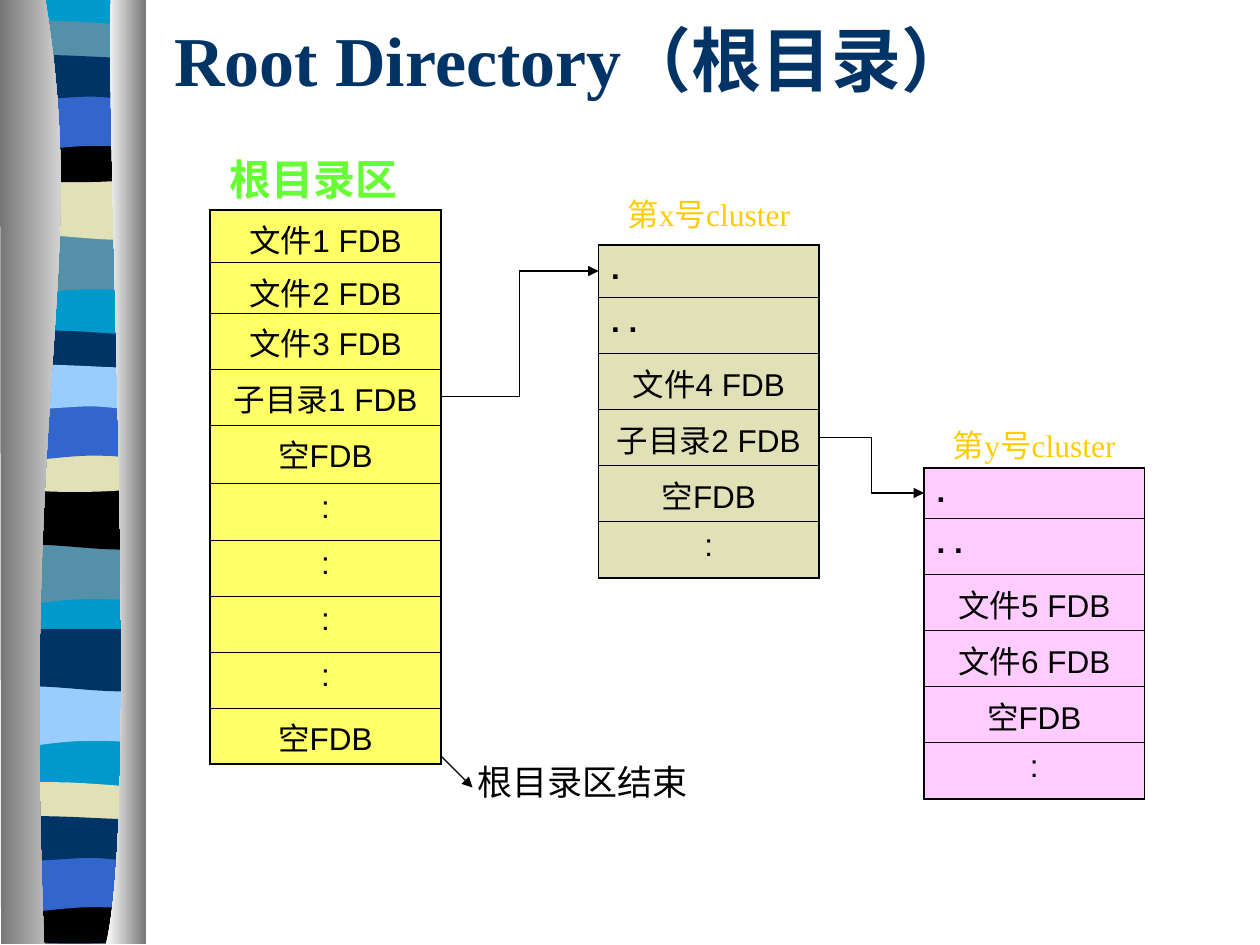
from lxml import etree
from pptx import Presentation
from pptx.dml.color import RGBColor
from pptx.enum.shapes import MSO_CONNECTOR
from pptx.enum.text import MSO_ANCHOR, MSO_AUTO_SIZE, PP_ALIGN
from pptx.oxml.ns import qn
from pptx.util import Emu, Inches, Pt

LEFT, CENTER = PP_ALIGN.LEFT, PP_ALIGN.CENTER
MIDDLE = MSO_ANCHOR.MIDDLE
NO_FIT, GROW = MSO_AUTO_SIZE.NONE, MSO_AUTO_SIZE.SHAPE_TO_FIT_TEXT
STRAIGHT, ELBOW = MSO_CONNECTOR.STRAIGHT, MSO_CONNECTOR.ELBOW
COLS = 120
SERIF, SANS = "Times New Roman", "Arial"
BLACK, NAVY, SAND, TEAL = "000000", "003366", "E1E1B7", "5490A8"
SKY, BLUE, CYAN, GOLD = "99CCFF", "3366CC", "0099CC", "FFCC00"
FLAT = [(0, 0), (13, 0)]


def rgb(value):
    """Return the colour of a hex string."""
    return RGBColor.from_string(value)


def bend(lines):
    """Merge three line steps of an outline into one Bezier step."""
    first, *others = lines
    first.tag = qn("a:cubicBezTo")
    for line in others:
        first.append(line[0])
        line.getparent().remove(line)


class Deck:
    """Holds the style and the current slide, measured on a 120 by 90 grid."""

    def __init__(self):
        """Start a deck with one title-only slide."""
        self.prs = Presentation()
        self.prs.slide_width, self.prs.slide_height = Inches(10), Inches(7.5)
        self.unit = self.prs.slide_width / COLS
        self.s = self.prs.slides.add_slide(self.prs.slide_layouts[5])

    def grid(self, *values):
        """Turn grid units into lengths."""
        return [Emu(round(v * self.unit)) for v in values]

    def format(self, p, size, font, color, bold=False, align=CENTER, before=0):
        """Format a paragraph and its runs."""
        p.alignment, p.space_before = align, Pt(before)
        for r in p.runs:
            r.font.size, r.font.name, r.font.bold = Pt(size), font, bold
            r.font.color.rgb = rgb(color)

    def title(self, text, x, y, w, h):
        """Fill and place the title placeholder."""
        sp = self.s.shapes.title
        sp.left, sp.top, sp.width, sp.height = self.grid(x, y, w, h)
        tf = sp.text_frame
        tf.text = text
        tf.vertical_anchor, tf.auto_size = MIDDLE, NO_FIT
        self.format(tf.paragraphs[0], 40, SERIF, NAVY, True, LEFT)

    def label(self, text, x, y, w, h, size, color, bold=False):
        """Add a centred caption."""
        tf = self.s.shapes.add_textbox(*self.grid(x, y, w, h)).text_frame
        tf.word_wrap, tf.auto_size = True, GROW
        tf.text = text
        self.format(tf.paragraphs[0], size, SERIF, color, bold, before=size * 0.625)

    def outline(self, group, edges, *colors):
        """Add a closed outline of straight and curved edges with one or two fill colours."""
        dots = [self.grid(*point) for edge in edges for point in edge]
        builder = group.shapes.build_freeform(*dots[0])
        builder.add_line_segments(dots[1:], close=True)
        sp = builder.convert_to_shape()
        sp.shadow.inherit = False
        sp.line.fill.background()
        lines = list(sp._element.iter(qn("a:lnTo")))
        start = 0
        for edge in edges:
            if len(edge) > 2:
                for i in range(start, start + len(edge) - 1, 3):
                    bend(lines[i:i + 3])
            start += len(edge)
        if len(colors) == 1:
            sp.fill.solid()
            sp.fill.fore_color.rgb = rgb(colors[0])
            return
        sp.fill.gradient()
        sp.fill.gradient_angle = 0
        for stop, color in zip(sp.fill.gradient_stops, colors):
            stop.color.rgb = rgb(color)

    def borders(self, cell, **widths):
        """Draw black cell borders of the given widths in points."""
        tc_pr = cell._tc.get_or_add_tcPr()
        for i, (side, width) in enumerate(widths.items()):
            ln = etree.Element(qn(f"a:ln{side}"), w=str(Pt(width)))
            fill = etree.SubElement(ln, qn("a:solidFill"))
            etree.SubElement(fill, qn("a:srgbClr"), val=BLACK)
            tc_pr.insert(i, ln)

    def directory(self, entries, x, y, w, heights, color):
        """Add a one-column table of directory entries."""
        last = len(entries) - 1
        frame = self.s.shapes.add_table(last + 1, 1, *self.grid(x, y, w, sum(heights)))
        table = frame.table
        for i, (text, height) in enumerate(zip(entries, heights)):
            table.rows[i].height = self.grid(height)[0]
            cell = table.cell(i, 0)
            cell.fill.solid()
            cell.fill.fore_color.rgb = rgb(color)
            cell.text_frame.text = text
            dots = text.startswith(".")
            self.format(cell.text_frame.paragraphs[0], 18, SANS, BLACK, dots,
                        LEFT if dots else CENTER, 4.5)
            self.borders(cell, L=1.08, R=1.08, T=0.45 if i else 1.08,
                         B=0.45 if i < last else 1.08)

    def arrow(self, kind, *ends):
        """Add a thin black arrow."""
        line = self.s.shapes.add_connector(kind, *self.grid(*ends))
        line.line.width = Pt(0.75)
        line.line.color.rgb = rgb(BLACK)
        etree.SubElement(line.line._get_or_add_ln(), qn("a:tailEnd"), type="triangle")
        etree.SubElement(line._element.spPr, qn("a:effectLst"))

    def ribbon_border(self):
        """Draw the striped border between two shaded columns on the slide master."""
        group = self.s.shapes.add_group_shape()
        left, foot = 0.66, 89.9
        self.outline(group, [[(left, 0), (13.66, 0)], [(13.66, foot), (left, foot)]], CYAN)
        near, far = (0, 29.5, 43), (0, 29.5, 72.5)
        bands = [
            (22.2, near, (TEAL, TEAL, SKY), FLAT,
             [(13, 5.6), (4, 4.7), (2.2, 6.6), (0, 5.6)]),
            (16.9, near, (SAND, BLACK, NAVY), FLAT,
             [(13, 5.6), (10.8, 6.6), (4, 5), (0, 5.6)]),
            (1.9, far, (TEAL, NAVY, SAND),
             [(0, 0.6), (0.7, 0), (2.8, 0.1), (4.9, 0.1), (7.1, 0.1), (11.3, 0.5), (13, 0.6)],
             [(13, 3.5), (10.8, 4), (2.2, 4), (0, 3.5)]),
            (13, far, (BLACK, SAND, BLACK),
             [(0, 0), (7.9, 0.6), (10.2, 0), (13, 0)],
             [(13, 3.9), (10.8, 4.5), (2.2, 4.5), (0, 3.9)]),
            (8.9, far, (BLUE, BLUE, BLUE), FLAT,
             [(13, 5.6), (10.9, 5), (10.1, 5), (7.9, 5), (5.8, 5), (1.9, 5.6), (0, 5.6)]),
            (4.9, far, (NAVY, SKY, NAVY),
             [(0, 0.6), (1.8, 0), (8.8, 0.6), (10.9, 0.6), (13, 0.6), (12.5, 0.6), (13, 0.6)],
             [(13, 4.3), (12.1, 4.9), (10.1, 4.3), (7.9, 4.3), (5.8, 4.3), (1.3, 4.9), (0, 4.3)]),
        ]
        for turn in range(3):
            for y, offsets, colors, *edges in bands:
                self.outline(group, [[(left + px, y + offsets[turn] + py) for px, py in edge]
                                     for edge in edges], colors[turn])
        grey, white = "767676", "FFFFFF"
        self.outline(group, [[(4.32, 0), (8.52, 25.9), (2.04, 35.5), (4.2, foot)],
                             [(0.1, foot), (0, 0)]], grey, white)
        self.outline(group, [[(10.56, 0), (10.08, 15), (13.32, 77.5), (10.08, foot)],
                             [(13.92, foot), (13.92, 0)]], white, grey)
        self.prs.slide_master.shapes._spTree.insert(2, group._element)


def main():
    """Build the root directory slide."""
    deck = Deck()
    row = 5.34
    deck.ribbon_border()
    deck.title("Root Directory（根目录）\v", 15.4, 6, 102, 8)
    deck.label("根目录区", 15.9, 14, 28, 6, 24, "66FF33", True)
    deck.directory(["文件1 FDB", "文件2 FDB", "文件3 FDB", "子目录1 FDB", "空FDB",
                    *":" * 4, "空FDB"],
                   20, 20, 22, [5, 4.8, row, row, 5.6] + [row] * 5, "FFFF66")
    deck.directory([".", ". .", "文件4 FDB", "子目录2 FDB", "空FDB", ":"],
                   57, 23.33, 21, [5] + [row] * 5, SAND)
    deck.arrow(ELBOW, 42, 37.8, 57, 25.83)
    deck.directory([".", ". .", "文件5 FDB", "文件6 FDB", "空FDB", ":"],
                   88, 44.58, 21, [4.8] + [row] * 5, "FFCCFF")
    deck.arrow(ELBOW, 78, 41.67, 88, 46.95)
    deck.label("第x号cluster", 57, 18, 21, 4.8, 18, GOLD)
    deck.label("第y号cluster", 88, 40, 21, 4.8, 18, GOLD)
    deck.label("根目录区结束", 43, 71.8, 25, 5.3, 20, BLACK)
    deck.arrow(STRAIGHT, 42, 72, 45, 75)
    deck.prs.save("out.pptx")


if __name__ == "__main__":
    main()
